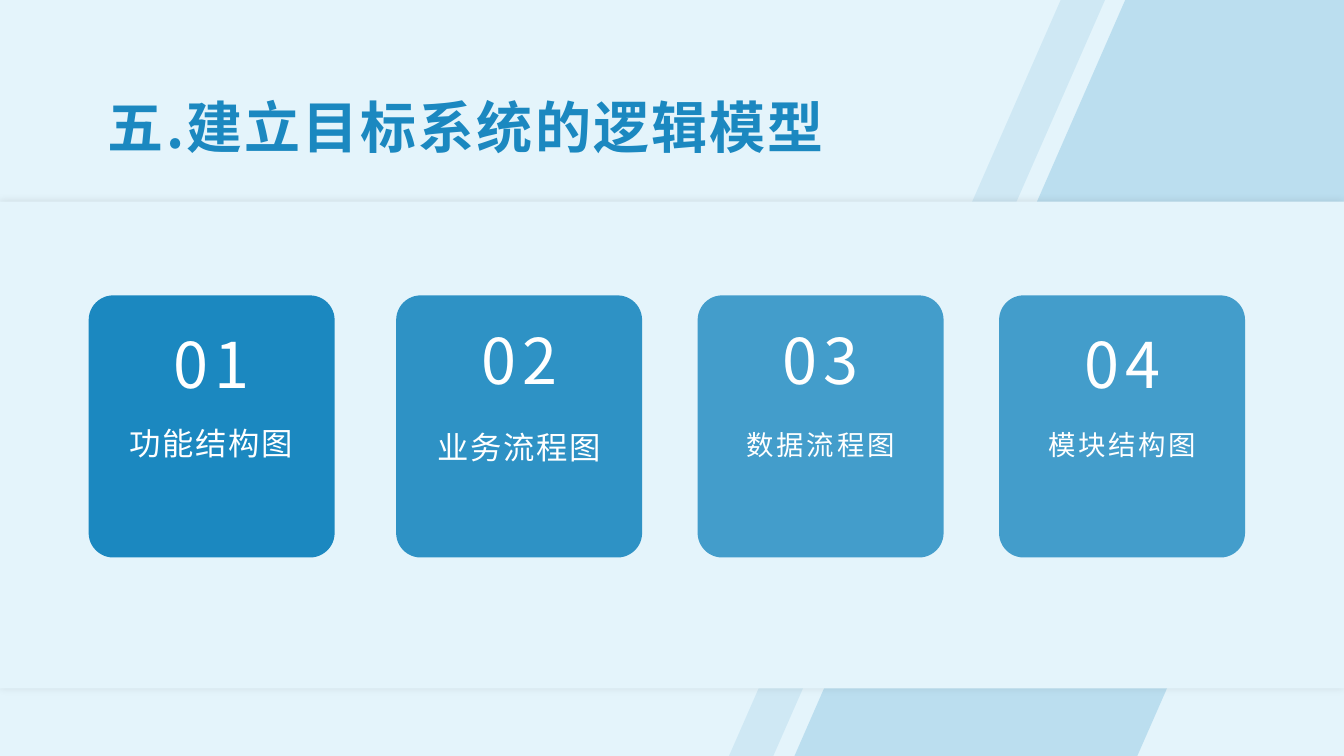
from dataclasses import dataclass

from lxml.etree import SubElement
from pptx import Presentation
from pptx.dml.color import RGBColor
from pptx.enum.shapes import MSO_SHAPE
from pptx.enum.text import MSO_ANCHOR, PP_ALIGN
from pptx.oxml.ns import qn
from pptx.util import Emu, Inches, Pt

WIDTH, HEIGHT = Inches(13.33), Inches(7.5)


@dataclass(frozen=True)
class Theme:
    font: str = "Noto Sans CJK SC"
    blue: str = "1B88C0"
    pale: str = "E4F4FB"
    white: str = "FFFFFF"
    shade: str = "0D0D0D"
    title_size: float = 40
    number_size: float = 45
    large_caption: float = 22.4
    small_caption: float = 19.6


THEME = Theme()

# Outlines as percentages of the slide's width and height
BANDS = [
    (10, [(78.92, 0), (82.22, 0), (57.54, 100), (54.24, 100)]),
    (20, [(83.72, 0), (100, 0), (100, 37.73), (84.62, 100), (59.11, 100)]),
]

CARD_TOP, CARD_WIDTH, CARD_HEIGHT = 39.07, 18.3, 34.67
NUMBER_WIDTH, NUMBER_HEIGHT = 6.53, 9.73
CAPTION_WIDTH, CAPTION_HEIGHT = 13.73, 8.13


@dataclass(frozen=True)
class Card:
    number: str
    caption: str
    left: float
    opacity: int
    number_top: float
    caption_top: float
    caption_size: float
    caption_tracking: float
    caption_after: float


CARDS = [
    Card("01", "功能结构图", 6.6, 100, 43.87, 55.47, THEME.large_caption, 1.2, 8),
    Card("02", "业务流程图", 29.48, 90, 43.33, 56, THEME.large_caption, 1.2, 8),
    Card("03", "数据流程图", 51.91, 80, 43.33, 56, THEME.small_caption, 2, 0),
    Card("04", "模块结构图", 74.34, 80, 43.87, 56, THEME.small_caption, 2, 0),
]


def across(share):
    return Emu(round(WIDTH * share / 100))


def down(share):
    return Emu(round(HEIGHT * share / 100))


def place(left, top, width, height):
    return across(left), down(top), across(width), down(height)


def paint(shape, color, opacity=100):
    """Give a flat fill with no line or shadow; opacity is a percentage."""
    shape.shadow.inherit = False
    shape.line.fill.background()
    shape.fill.solid()
    shape.fill.fore_color.rgb = RGBColor.from_string(color)
    if opacity < 100:
        color_node = shape.fill._xPr.find(f"{qn('a:solidFill')}/{qn('a:srgbClr')}")
        SubElement(color_node, qn("a:alpha"), val=str(opacity * 1000))


def add_band(page, opacity, corners):
    points = [(across(x), down(y)) for x, y in corners]
    builder = page.shapes.build_freeform(*points[0])
    builder.add_line_segments(points[1:], close=True)
    paint(builder.convert_to_shape(), THEME.blue, opacity)


def add_panel(page):
    panel = page.shapes.add_shape(MSO_SHAPE.RECTANGLE, *place(0, 26.67, 100, 64.4))
    paint(panel, THEME.pale)
    effects = panel._element.spPr.find(qn("a:effectLst"))
    shadow = SubElement(effects, qn("a:outerShdw"), blurRad=str(Pt(5)),
                        dist="0", dir="0", algn="ctr", rotWithShape="0")
    color_node = SubElement(shadow, qn("a:srgbClr"), val=THEME.shade)
    SubElement(color_node, qn("a:alpha"), val="10000")


def add_text(page, text, box_place, size, color, tracking, margins,
             bold=False, anchor=MSO_ANCHOR.TOP, align=PP_ALIGN.LEFT,
             after=0, line_spacing=1.0):
    """Add one line of text; margins are (side, top and bottom) in inches."""
    box = page.shapes.add_textbox(*box_place)
    frame = box.text_frame
    frame.word_wrap = True
    frame.vertical_anchor = anchor
    side, edge = margins
    frame.margin_left = frame.margin_right = Inches(side)
    frame.margin_top = frame.margin_bottom = Inches(edge)
    para = frame.paragraphs[0]
    para.alignment = align
    para.space_after = Pt(after)
    para.line_spacing = line_spacing
    span = para.add_run()
    span.text = text
    span.font.name = THEME.font
    span.font.size = Pt(size)
    span.font.bold = bold
    span.font.color.rgb = RGBColor.from_string(color)
    properties = span.font._element
    properties.set("spc", str(round(tracking * 100)))
    SubElement(properties, qn("a:ea"), typeface=THEME.font)


def add_card(page, card):
    tile = page.shapes.add_shape(
        MSO_SHAPE.ROUNDED_RECTANGLE,
        *place(card.left, CARD_TOP, CARD_WIDTH, CARD_HEIGHT))
    tile.adjustments[0] = 0.1
    paint(tile, THEME.blue, card.opacity)

    def centered(top, width, height):
        return place(card.left + (CARD_WIDTH - width) / 2, top, width, height)

    add_text(page, card.number,
             centered(card.number_top, NUMBER_WIDTH, NUMBER_HEIGHT),
             THEME.number_size, THEME.white, 4.4, (0, 0),
             anchor=MSO_ANCHOR.MIDDLE, align=PP_ALIGN.CENTER,
             after=8, line_spacing=0.9)
    add_text(page, card.caption,
             centered(card.caption_top, CAPTION_WIDTH, CAPTION_HEIGHT),
             card.caption_size, THEME.white, card.caption_tracking, (0.1, 0.05),
             align=PP_ALIGN.CENTER, after=card.caption_after)


def main():
    deck = Presentation()
    deck.slide_width, deck.slide_height = WIDTH, HEIGHT
    page = deck.slides.add_slide(deck.slide_layouts[6])
    page.background.fill.solid()
    page.background.fill.fore_color.rgb = RGBColor.from_string(THEME.pale)
    for opacity, corners in BANDS:
        add_band(page, opacity, corners)
    add_panel(page)
    add_text(page, "五.建立目标系统的逻辑模型", place(7.5, 11.11, 65, 11.11),
             THEME.title_size, THEME.blue, 1.6, (0.07, 0.03),
             bold=True, anchor=MSO_ANCHOR.MIDDLE)
    for card in CARDS:
        add_card(page, card)
    deck.save("out.pptx")


if __name__ == "__main__":
    main()
